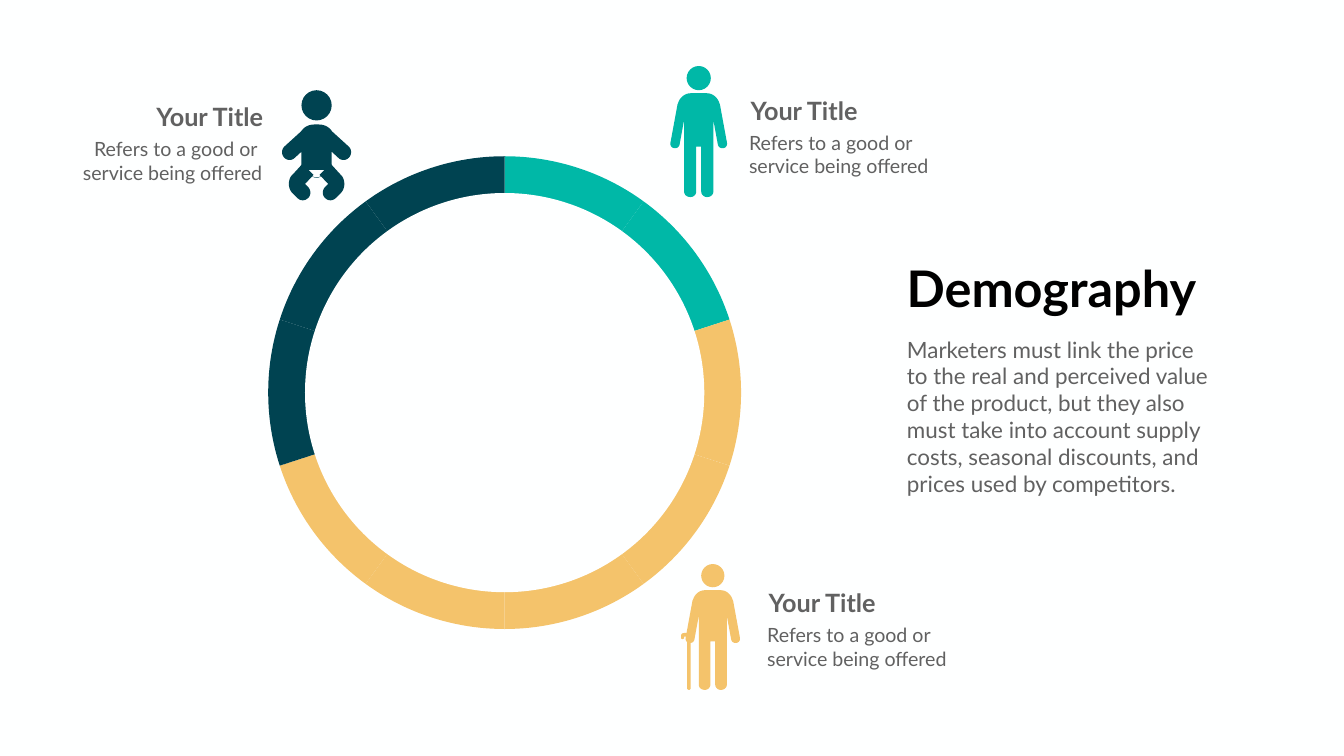
"""Build the Demography slide: a ten-part ring with three age groups."""
from dataclasses import dataclass
from math import cos, radians, sin

from pptx import Presentation
from pptx.dml.color import RGBColor
from pptx.enum.shapes import MSO_SHAPE
from pptx.enum.text import MSO_ANCHOR, MSO_AUTO_SIZE, PP_ALIGN as AL
from pptx.oxml.ns import qn
from pptx.util import Inches, Pt
from lxml.etree import SubElement

WHITE = RGBColor(0xFE, 0xFF, 0xFF)
BLACK = RGBColor(0, 0, 0)
GREY = RGBColor(0x61, 0x61, 0x61)
NAVY = RGBColor(0x00, 0x43, 0x51)
TEAL = RGBColor(0x00, 0xB8, 0xA7)
GOLD = RGBColor(0xF4, 0xC3, 0x6B)
FONT = "Lato"

Points = list[tuple[float, ...]]

CENTER_X, CENTER_Y = 10.01, 7.79
OUTER, INNER = 4.69, 3.96
RING = [TEAL] * 2 + [GOLD] * 5 + [NAVY] * 3

ADULT_HALF: Points = [
    (0, 0), (.16, 0), (.28, 0, .38, .09, .41, .2), (.42, .22), (.56, .98),
    (.57, 1.04, .54, 1.08, .49, 1.09), (.44, 1.1, .39, 1.07, .38, 1.02),
    (.29, .53), (.29, 1.95), (.29, 2.01, .24, 2.06, .17, 2.06), (.16, 2.06),
    (.1, 2.06, .05, 2.01, .05, 1.95), (.05, 1.06),
]
BABY_HALF: Points = [
    (0, 0), (.04, 0), (.16, 0, .25, .05, .31, .14), (.64, .44),
    (.7, .5, .7, .6, .64, .66), (.58, .72, .49, .72, .43, .66),
    (.3, .54), (.3, .9),
]
BABY_LEG: Points = [
    (.28, 0), (.48, .22), (.53, .26, .55, .34, .55, .4),
    (.55, .46, .53, .53, .48, .58), (.38, .68), (.32, .74, .23, .74, .17, .68),
    (.11, .63, .11, .53, .16, .47), (.23, .4), (.06, .22),
]
NAPPY_HALF: Points = [
    (0, .23), (.04, .23, .07, .22, .1, .19), (.11, .19), (.07, .22, .04, .24, 0, .24),
]
CANE: Points = [
    (.13, 0), (.06, 0), (.02, 0, 0, .03, 0, .05), (0, .1),
    (0, .11, .01, .12, .03, .12), (.04, .12, .06, .11, .06, .1),
    (.06, .07), (.12, .07), (.12, 1.1), (.12, 1.11, .14, 1.13, .16, 1.13),
    (.17, 1.13, .19, 1.11, .19, 1.1), (.19, .07), (.19, .03, .16, 0, .13, 0),
]


@dataclass
class Callout:
    title_left: float
    text_left: float
    top: float
    align: AL
    lines: tuple[str, str] = ("Refers to a good or", "service being offered")


CALLOUTS = [
    Callout(2.71, 1.33, 1.97, AL.RIGHT, ("Refers to a good or ", "service being offered")),
    Callout(14.79, 14.76, 1.84, AL.LEFT),
    Callout(15.15, 15.12, 11.61, AL.LEFT),
]


def flatten(path: Points, steps: int = 8) -> Points:
    """Turn the cubic entries of a path into short straight steps."""
    pts: Points = []
    for item in path:
        if len(item) == 2:
            pts.append(item)
            continue
        x0, y0 = pts[-1]
        x1, y1, x2, y2, x3, y3 = item
        for i in range(1, steps + 1):
            t = i / steps
            a, b, c, d = (1 - t) ** 3, 3 * t * (1 - t) ** 2, 3 * t * t * (1 - t), t ** 3
            pts.append((a * x0 + b * x1 + c * x2 + d * x3,
                        a * y0 + b * y1 + c * y2 + d * y3))
    return pts


def flip(pts: Points) -> Points:
    """Mirror points left to right, in reverse order."""
    return [(-x, y) for x, y in reversed(pts)]


def both_halves(path: Points) -> Points:
    """Complete a symmetric outline from its right half."""
    pts = flatten(path)
    return pts + flip(pts)


def paint(sp, color: RGBColor) -> None:
    """Give a shape a flat fill without line or shadow."""
    sp.shadow.inherit = False
    sp.fill.solid()
    sp.fill.fore_color.rgb = color
    sp.line.fill.background()


def outline(s, pts: Points, x: float, y: float, color: RGBColor, scale: float = 1) -> None:
    """Draw a closed outline placed at x, y."""
    emu = [(Inches(x + px * scale), Inches(y + py * scale)) for px, py in pts]
    fb = s.shapes.build_freeform(*emu[0], scale=1.0)
    fb.add_line_segments(emu[1:], close=True)
    paint(fb.convert_to_shape(), color)


def disc(s, x: float, y: float, r: float, color: RGBColor) -> None:
    """Draw a circle around x, y."""
    sp = s.shapes.add_shape(MSO_SHAPE.OVAL, Inches(x - r), Inches(y - r),
                            Inches(2 * r), Inches(2 * r))
    paint(sp, color)


def ring(s) -> None:
    """Draw the equal sectors and the open centre."""
    step = 360 / len(RING)
    for i, color in enumerate(RING):
        angles = [radians(step * (i + k / 24)) for k in range(25)]
        arc = [(OUTER * sin(a), -OUTER * cos(a)) for a in angles]
        outline(s, [(0, 0)] + arc, CENTER_X, CENTER_Y, color)
    disc(s, CENTER_X, CENTER_Y, INNER, WHITE)


def adult(s, x: float, top: float, color: RGBColor, scale: float = 1) -> None:
    """Draw a standing person."""
    outline(s, both_halves(ADULT_HALF), x, top, color, scale)
    disc(s, x, top - .3 * scale, .24 * scale, color)


def baby(s, x: float, top: float, color: RGBColor) -> None:
    """Draw a sitting baby."""
    leg = flatten(BABY_LEG)
    for pts in (leg, flip(leg)):
        outline(s, pts, x, top + .78, color)
    disc(s, x, top - .38, .3, color)
    outline(s, both_halves(BABY_HALF), x, top, color)
    outline(s, both_halves(NAPPY_HALF), x, top + .82, color)


def write(sp, box: tuple[float, ...], lines: tuple[str, ...], size: int, color: RGBColor,
          align: AL = AL.LEFT, bold: bool = False, wrap: bool = True) -> None:
    """Place a text shape and fill it, one paragraph per line."""
    sp.left, sp.top, sp.width, sp.height = map(Inches, box)
    tf = sp.text_frame
    tf.word_wrap = wrap
    tf.auto_size = MSO_AUTO_SIZE.NONE
    tf.vertical_anchor = MSO_ANCHOR.TOP
    for i, line in enumerate(lines):
        p = tf.add_paragraph() if i else tf.paragraphs[0]
        p.alignment = align
        p.space_before = Pt(0)
        r = p.add_run()
        r.text = line
        r.font.name, r.font.size, r.font.bold = FONT, Pt(size), bold
        r.font.color.rgb = color


def callout(s, c: Callout) -> None:
    """Draw a small heading with its two lines."""
    title, text = (s.shapes.add_textbox(0, 0, 0, 0) for _ in range(2))
    write(title, (c.title_left, c.top, 2.61, .71), ("Your Title",), 36, GREY, c.align, True)
    write(text, (c.text_left, c.top + .7, 3.97, 1.04), c.lines, 28, GREY, c.align)


def main() -> None:
    """Build and save the slide."""
    prs = Presentation()
    prs.slide_width, prs.slide_height = Inches(26.66), Inches(15)
    s = prs.slides.add_slide(prs.slide_layouts[1])
    s.background.fill.solid()
    s.background.fill.fore_color.rgb = WHITE

    ring(s)
    adult(s, 13.86, 1.85, TEAL)
    baby(s, 6.28, 2.47, NAVY)
    adult(s, 14.14, 11.71, GOLD, .96)
    outline(s, flatten(CANE), 13.51, 12.56, GOLD)

    write(s.shapes.title, (17.82, 5.06, 6.07, 1.31), ("Demography",), 72, BLACK,
          AL.CENTER, True, False)
    body = s.placeholders[1]
    pPr = body.text_frame.paragraphs[0]._p.get_or_add_pPr()
    pPr.set("marL", "0")
    pPr.set("indent", "0")
    SubElement(pPr, qn("a:buNone"))
    write(body, (17.89, 6.61, 6.22, 3.33), (
        "Marketers must link the price to the real and perceived value of the product, "
        "but they also must take into account supply costs, seasonal discounts, "
        "and prices used by competitors.",), 32, GREY)
    for c in CALLOUTS:
        callout(s, c)
    prs.save("out.pptx")


if __name__ == "__main__":
    main()
